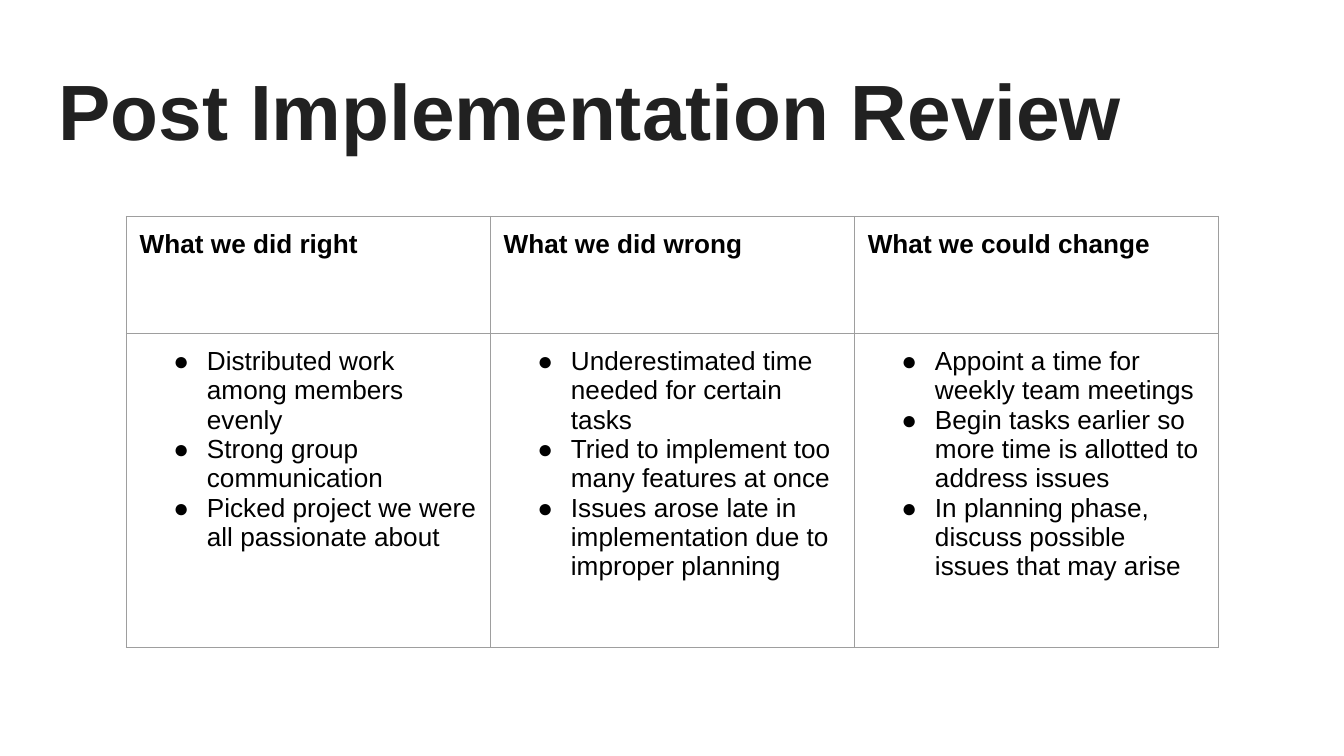
from dataclasses import dataclass

from lxml.etree import SubElement
from pptx import Presentation
from pptx.dml.color import RGBColor as RGB
from pptx.enum.text import MSO_ANCHOR as Anchor
from pptx.oxml.ns import qn
from pptx.util import Cm, Pt


@dataclass(frozen=True)
class Theme:
    """Font, colours and type sizes of the slide."""
    font: str = "Arial"
    title: str = "212121"
    text: str = "000000"
    border: str = "9E9E9E"
    title_size: int = 42
    cell_size: int = 14
    border_width: float = 0.75


THEME = Theme()
MARGIN = Cm(0.25)
COLUMN_WIDTH = Cm(6.88)
ROW_HEIGHTS = [Cm(2.21), Cm(2.46), Cm(3.48)]
REVIEW = {
    "What we did right": [
        "Distributed work among members evenly",
        "Strong group communication",
        "Picked project we were all passionate about",
    ],
    "What we did wrong": [
        "Underestimated time needed for certain tasks",
        "Tried to implement too many features at once",
        "Issues arose late in implementation due to improper planning",
    ],
    "What we could change": [
        "Appoint a time for weekly team meetings",
        "Begin tasks earlier so more time is allotted to address issues",
        "In planning phase, discuss possible issues that may arise",
    ],
}


def write(p, text, size=THEME.cell_size, color=THEME.text, bold=False):
    """Add a formatted run to a paragraph."""
    r = p.add_run()
    r.text = text
    r.font.name = THEME.font
    r.font.size = Pt(size)
    r.font.bold = bold
    r.font.color.rgb = RGB.from_string(color)


def set_bullet(p):
    """Give a paragraph a round bullet with a hanging indent."""
    pPr = p._p.get_or_add_pPr()
    pPr.set("marL", str(Cm(1.27)))
    pPr.set("indent", str(-Cm(0.635)))
    SubElement(pPr, qn("a:buFont"), typeface=THEME.font)
    SubElement(pPr, qn("a:buChar"), char="●")


def style_cell(cell):
    """Set the margins, borders and empty fill of a cell."""
    cell.margin_left = cell.margin_right = MARGIN
    cell.margin_top = cell.margin_bottom = MARGIN
    tcPr = cell._tc.get_or_add_tcPr()
    for side in ("lnL", "lnR", "lnT", "lnB"):
        ln = SubElement(tcPr, qn(f"a:{side}"), w=str(Pt(THEME.border_width)))
        fill = SubElement(ln, qn("a:solidFill"))
        SubElement(fill, qn("a:srgbClr"), val=THEME.border)
    cell.fill.background()


def add_title(s, text):
    """Add the slide title."""
    tf = s.shapes.add_textbox(Cm(0.86), Cm(0.81), Cm(23.67), Cm(2.24)).text_frame
    tf.word_wrap = True
    tf.vertical_anchor = Anchor.MIDDLE
    tf.margin_left = tf.margin_right = MARGIN
    tf.margin_top = tf.margin_bottom = MARGIN
    p = tf.paragraphs[0]
    p.line_spacing = 1.15
    write(p, text, size=THEME.title_size, color=THEME.title, bold=True)


def add_review_table(s, review):
    """Add one column per heading, with its points in a merged cell below."""
    table = s.shapes.add_table(
        len(ROW_HEIGHTS), len(review), Cm(2.39), Cm(4.09),
        COLUMN_WIDTH * len(review), sum(ROW_HEIGHTS)).table
    table.first_row = table.horz_banding = False
    for row, height in zip(table.rows, ROW_HEIGHTS):
        row.height = height
    for cell in table.iter_cells():
        style_cell(cell)
    for i, (heading, points) in enumerate(review.items()):
        table.columns[i].width = COLUMN_WIDTH
        write(table.cell(0, i).text_frame.paragraphs[0], heading, bold=True)
        body = table.cell(1, i)
        body.merge(table.cell(2, i))
        tf = body.text_frame
        for j, point in enumerate(points):
            p = tf.add_paragraph() if j else tf.paragraphs[0]
            set_bullet(p)
            write(p, point)


def main():
    """Build and save the slide."""
    prs = Presentation()
    prs.slide_width, prs.slide_height = Cm(25.4), Cm(14.29)
    s = prs.slides.add_slide(prs.slide_layouts[6])
    add_title(s, "Post Implementation Review")
    add_review_table(s, REVIEW)
    prs.save("out.pptx")


if __name__ == "__main__":
    main()
